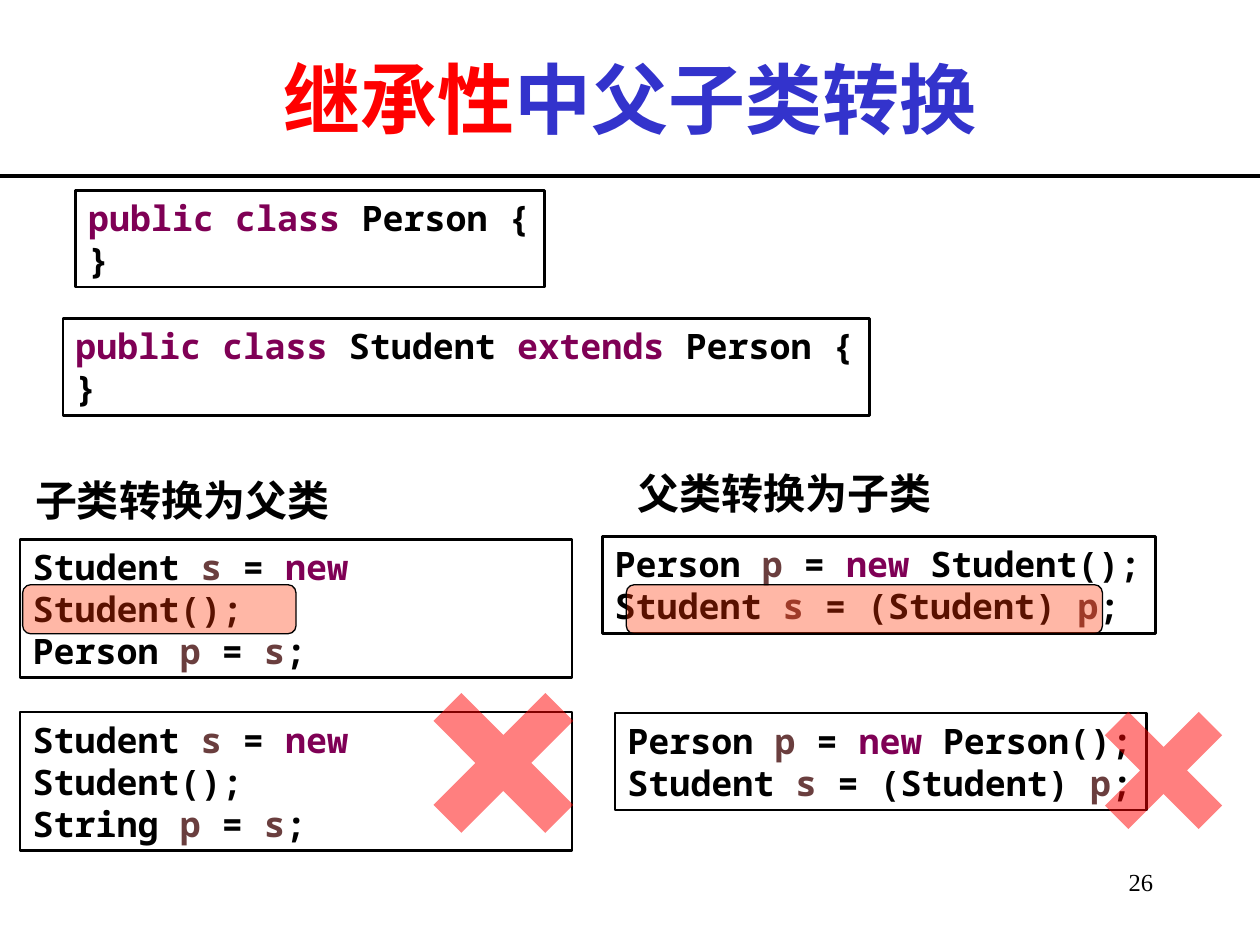
"""Build a slide on casting between parent and child classes in Java."""
from lxml import etree
from pptx import Presentation
from pptx.dml.color import RGBColor
from pptx.enum import shapes, text
from pptx.oxml import ns
from pptx.util import Inches, Pt

BLACK = RGBColor(0x00, 0x00, 0x00)
RED = RGBColor(0xFF, 0x00, 0x00)
BLUE = RGBColor(0x33, 0x33, 0xCC)
ORANGE = RGBColor(0xFF, 0x33, 0x00)
KEYWORD = RGBColor(0x7F, 0x00, 0x55)
VARIABLE = RGBColor(0x6A, 0x3E, 0x3E)

SYNTAX = {"public class": KEYWORD, "extends": KEYWORD, "new": KEYWORD,
          "s": VARIABLE, "p": VARIABLE}
SERIF, MONO = "Times New Roman", "Noto Sans Mono"


def add_run(paragraph, words, colour, **font_format):
    run = paragraph.add_run()
    run.text = words
    run.font.color.rgb = colour
    for name, value in font_format.items():
        setattr(run.font, name, value)


def fill_translucent(shape, colour, percent):
    shape.shadow.inherit = False
    shape.fill.solid()
    shape.fill.fore_color.rgb = colour
    tint = shape.fill._xPr.find(ns.qn("a:solidFill"))[0]
    etree.SubElement(tint, ns.qn("a:alpha"), val=str(percent * 1000))


deck = Presentation()
deck.slide_width, deck.slide_height = Inches(10), Inches(7.5)
slide = deck.slides.add_slide(deck.slide_layouts[5])

title = slide.shapes.title
title.left, title.top = Inches(0.75), Inches(0.15)
title.width, title.height = Inches(8.5), Inches(1.25)
title.text_frame.vertical_anchor = text.MSO_ANCHOR.MIDDLE
heading = title.text_frame.paragraphs[0]
heading.alignment = text.PP_ALIGN.CENTER
for words, colour in (("继承性", RED), ("中父子类转换", BLUE)):
    add_run(heading, words, colour, size=Pt(44), bold=True, name=SERIF)

rule = slide.shapes.add_connector(
    shapes.MSO_CONNECTOR.STRAIGHT, Inches(0), Inches(1.4), Inches(10), Inches(1.4))
rule.line.color.rgb = BLACK
rule.line.width = Pt(2.25)
etree.SubElement(rule._element.spPr, ns.qn("a:effectLst"))

new_student = "Student |s| = |new| Student();"
downcast = "Student |s| = (Student) |p|;"
listings = [
    (0.6, 1.51, 3.72, 0.77, False, ["public class| Person {", "}"]),
    (0.5, 2.53, 6.4, 0.77, False, ["public class| Student |extends| Person {", "}"]),
    (0.16, 4.28, 4.38, 1.1, True, [new_student, "Person |p| = |s|;"]),
    (4.78, 4.26, 4.39, 0.77, False, ["Person |p| = |new| Student();", downcast]),
    (4.88, 5.66, 4.22, 0.77, False, ["Person |p| = |new| Person();", downcast]),
    (0.16, 5.65, 4.38, 1.1, True, [new_student, "String |p| = |s|;"]),
]
for left, top, width, height, wrap, lines in listings:
    listing = slide.shapes.add_shape(
        shapes.MSO_SHAPE.RECTANGLE, Inches(left), Inches(top), Inches(width), Inches(height))
    listing.shadow.inherit = False
    listing.fill.background()
    listing.line.color.rgb = BLACK
    listing.line.width = Pt(1.5)
    frame = listing.text_frame
    frame_format = {"word_wrap": wrap, "vertical_anchor": text.MSO_ANCHOR.TOP,
                    "auto_size": text.MSO_AUTO_SIZE.SHAPE_TO_FIT_TEXT}
    for name, value in frame_format.items():
        setattr(frame, name, value)
    for number, line in enumerate(lines):
        paragraph = frame.add_paragraph() if number else frame.paragraphs[0]
        paragraph.alignment = text.PP_ALIGN.LEFT
        for piece in line.split("|"):
            add_run(paragraph, piece, SYNTAX.get(piece, BLACK),
                    size=Pt(20), bold=True, name=MONO)

for left, width in ((0.18, 2.17), (4.97, 3.78)):
    highlight = slide.shapes.add_shape(
        shapes.MSO_SHAPE.ROUNDED_RECTANGLE, Inches(left), Inches(4.64),
        Inches(width), Inches(0.39))
    fill_translucent(highlight, ORANGE, 35)
    highlight.line.color.rgb = BLACK
    highlight.line.width = Pt(0.75)

cross_outline = [(10, 8), (7, 5), (10, 2), (8, 0), (5, 3), (2, 0),
                 (0, 2), (3, 5), (0, 8), (2, 10), (5, 7), (8, 10)]
for left, top, side in ((3.44, 5.5, 1.11), (8.77, 5.65, 0.93)):
    corners = [(x, y) for x, y in cross_outline]
    pen = slide.shapes.build_freeform(*corners[0], scale=Inches(side) / 10)
    pen.add_line_segments(corners[1:], close=True)
    cross = pen.convert_to_shape(Inches(left), Inches(top))
    fill_translucent(cross, RED, 50)
    cross.line.fill.background()

labels = [
    (0.18, 3.72, 2.53, "子类转换为父类", 24, True, text.PP_ALIGN.LEFT),
    (4.96, 3.66, 2.53, "父类转换为子类", 24, True, text.PP_ALIGN.LEFT),
    (8.17, 6.83, 1.08, "26", 14, False, text.PP_ALIGN.RIGHT),
]
for left, top, width, words, size, bold, alignment in labels:
    label = slide.shapes.add_textbox(Inches(left), Inches(top), Inches(width), Inches(0.5))
    label.text_frame.word_wrap = not bold
    paragraph = label.text_frame.paragraphs[0]
    paragraph.alignment = alignment
    add_run(paragraph, words, BLACK, size=Pt(size), bold=bold, name=SERIF)

deck.save("out.pptx")
